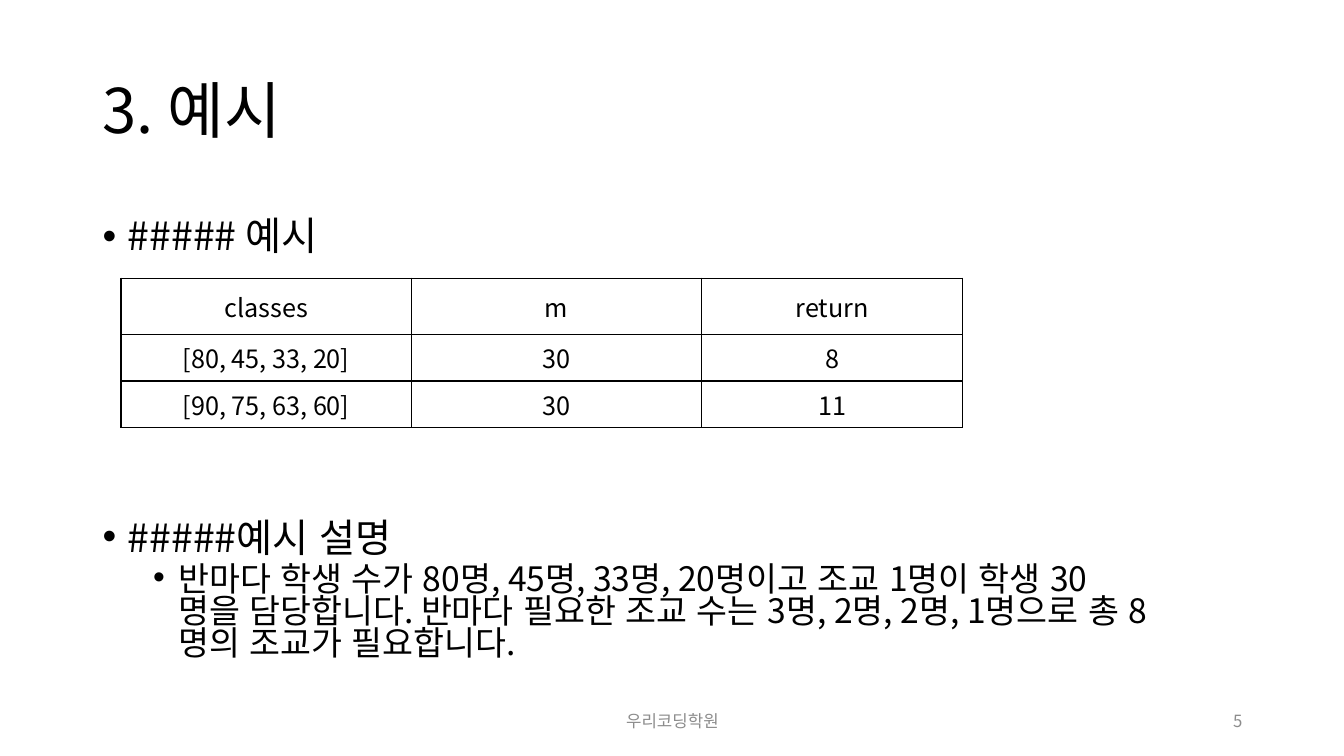
from lxml import etree
from pptx import Presentation
from pptx.dml.color import RGBColor
from pptx.enum.text import MSO_ANCHOR, PP_ALIGN
from pptx.oxml.ns import qn
from pptx.util import Inches, Pt

FONT = "Noto Sans CJK KR"
COLORS = {"text": "000000", "footer": "8C8C8C", "border": "000000"}


def add_text(paragraph, text, size, color="text"):
    for index, line in enumerate(text.split("\n")):
        if index:
            paragraph.add_line_break()
        run = paragraph.add_run()
        run.text = line
        run.font.size = Pt(size)
        run.font.name = FONT
        run.font.color.rgb = RGBColor.from_string(COLORS[color])
        properties = run._r.get_or_add_rPr()
        properties.set("lang", "ko-KR")
        properties.set("kern", "0")
        etree.SubElement(properties, qn("a:ea"), typeface=FONT)


def add_frame(slide, box, anchor=MSO_ANCHOR.TOP):
    frame = slide.shapes.add_textbox(*map(Inches, box)).text_frame
    frame.word_wrap = True
    frame.vertical_anchor = anchor
    return frame


def add_line(slide, box, text, size, align=PP_ALIGN.LEFT, color="text", spacing=1.0):
    paragraph = add_frame(slide, box, MSO_ANCHOR.MIDDLE).paragraphs[0]
    paragraph.alignment = align
    paragraph.line_spacing = spacing
    add_text(paragraph, text, size, color)


def add_bullets(slide, box, items, spacing):
    frame = add_frame(slide, box)
    for index, (text, size, level) in enumerate(items):
        paragraph = frame.add_paragraph() if index else frame.paragraphs[0]
        paragraph.level = level
        paragraph.line_spacing = spacing
        paragraph.space_before = Pt(4 if level else 0)
        properties = paragraph._p.get_or_add_pPr()
        properties.set("marL", str(Inches(0.25 + 0.5 * level)))
        properties.set("indent", str(Inches(-0.25)))
        etree.SubElement(properties, qn("a:buFont"), typeface="Arial")
        etree.SubElement(properties, qn("a:buChar"), char="•")
        add_text(paragraph, text, size)


def add_borders(cell):
    properties = cell._tc.get_or_add_tcPr()
    for position, side in enumerate(("lnL", "lnR", "lnT", "lnB")):
        line = etree.Element(qn(f"a:{side}"), w=str(Pt(1)))
        fill = etree.SubElement(line, qn("a:solidFill"))
        etree.SubElement(fill, qn("a:srgbClr"), val=COLORS["border"])
        properties.insert(position, line)


def add_example_table(slide, box, rows, widths, heights):
    table = slide.shapes.add_table(len(rows), len(widths), *map(Inches, box)).table
    for column, width in zip(table.columns, widths):
        column.width = Inches(width)
    for row, height, values in zip(table.rows, heights, rows):
        row.height = Inches(height)
        for cell, value in zip(row.cells, values):
            cell.fill.background()
            cell.vertical_anchor = MSO_ANCHOR.MIDDLE
            paragraph = cell.text_frame.paragraphs[0]
            paragraph.alignment = PP_ALIGN.CENTER
            add_text(paragraph, value, 18)
            add_borders(cell)


def add_footer(slide, top, height):
    add_line(slide, (4.42, top, 4.5, height), "우리코딩학원", 12, PP_ALIGN.CENTER, "footer")
    add_line(slide, (9.42, top, 3, height), "5", 12, PP_ALIGN.RIGHT, "footer")


def build_example_slide(presentation):
    slide = presentation.slides.add_slide(presentation.slide_layouts[6])
    left, width = 0.92, 11.5
    add_line(slide, (left, 0.4, width, 1.45), "3. 예시", 44, spacing=0.9)
    add_bullets(slide, (left, 2.08, width, 0.6), [("##### 예시", 28, 0)], 0.95)
    add_example_table(
        slide, (1.2, 2.76, 8.35, 1.48),
        [("classes", "m", "return"),
         ("[80, 45, 33, 20]", "30", "8"),
         ("[90, 75, 63, 60]", "30", "11")],
        (2.88, 2.88, 2.59), (0.56, 0.46, 0.46))
    explanation = (
        "반마다 학생 수가 80명, 45명, 33명, 20명이고 조교 1명이 학생 30\n"
        "명을 담당합니다. 반마다 필요한 조교 수는 3명, 2명, 2명, 1명으로 총 8\n"
        "명의 조교가 필요합니다.")
    add_bullets(slide, (left, 5.13, width, 1.6),
                [("#####예시 설명", 28, 0), (explanation, 24, 1)], 0.8)
    add_footer(slide, 6.95, 0.4)


presentation = Presentation()
presentation.slide_width = Inches(13.33)
presentation.slide_height = Inches(7.5)
build_example_slide(presentation)
presentation.save("out.pptx")
